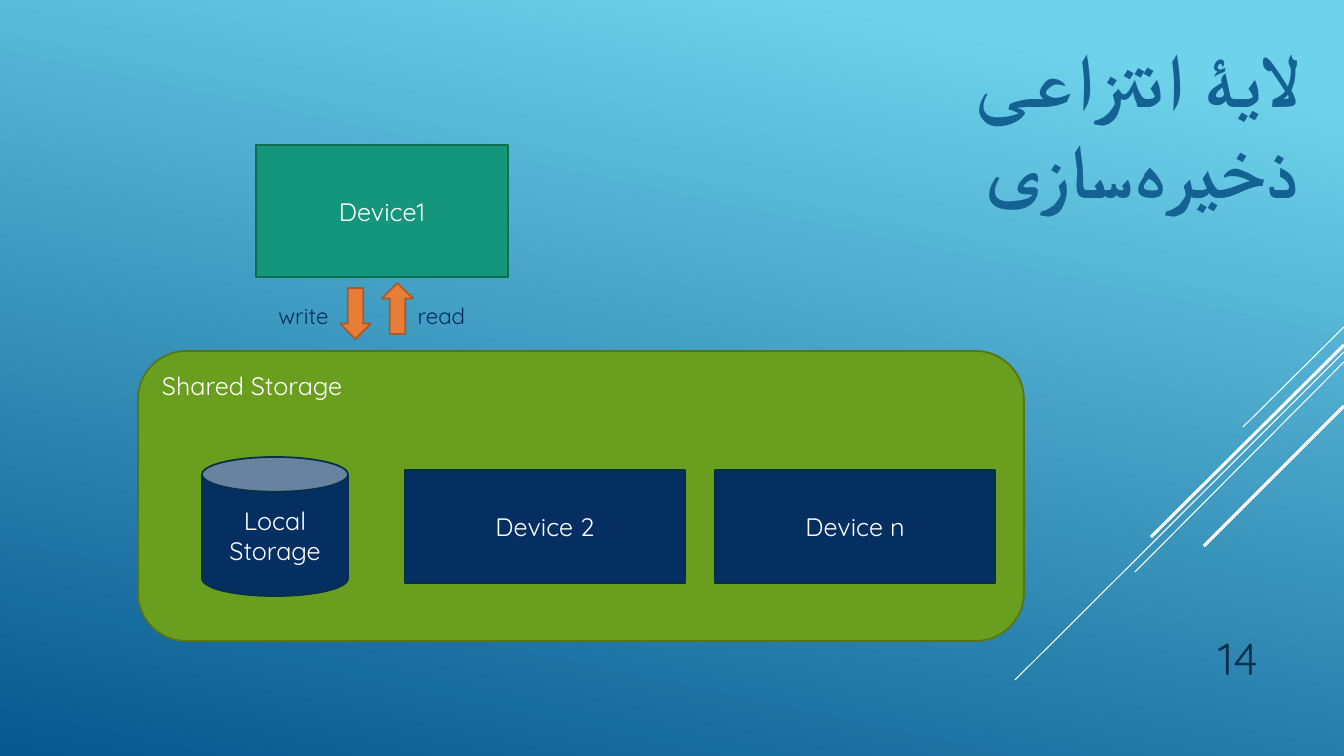
"""Builds a slide showing a storage abstraction layer shared by several devices."""
from lxml import etree
from pptx import Presentation, util as u
from pptx.dml.color import RGBColor
from pptx.enum import shapes, text
from pptx.oxml.ns import qn

WHITE = RGBColor(0xFF, 0xFF, 0xFF)
SKY = RGBColor(0x6E, 0xD2, 0xEB)
DEEP = RGBColor(0x06, 0x58, 0x8E)
BLUE = RGBColor(0x14, 0x61, 0x94)
INK = RGBColor(0x0A, 0x30, 0x4A)
NAVY = RGBColor(0x05, 0x2F, 0x61)
NAVY_EDGE = RGBColor(0x04, 0x31, 0x48)
TEAL = RGBColor(0x14, 0x96, 0x7C)
TEAL_EDGE = RGBColor(0x0F, 0x6F, 0x4C)
ORANGE = RGBColor(0xE8, 0x7D, 0x37)
RUST = RGBColor(0xAC, 0x59, 0x29)
GREEN = RGBColor(0x6A, 0x9E, 0x1F)
MOSS = RGBColor(0x56, 0x75, 0x17)
FONT = "Quicksand"
JOINER = chr(0x200C)
KIND = shapes.MSO_SHAPE
ALIGN = text.PP_ALIGN
ANCHOR = text.MSO_ANCHOR


def px(*nums):
    return [u.Emu(round(n * 914400 / 100.8)) for n in nums]


def write(shape, words, size, color, align, anchor):
    frame = shape.text_frame
    frame.text = words
    frame.word_wrap = True
    frame.vertical_anchor = anchor
    para = frame.paragraphs[0]
    para.alignment = align
    para.font.name = FONT
    para.font.size = u.Pt(size)
    para.font.color.rgb = color
    return frame


deck = Presentation()
deck.slide_width, deck.slide_height = px(1344, 756)
slide = deck.slides.add_slide(deck.slide_layouts[5])

fill = slide.background.fill
fill.gradient()
fill.gradient_angle = 258
for stop, place, color in zip(fill.gradient_stops, (0.1, 1), (SKY, DEEP)):
    stop.position = place
    stop.color.rgb = color

streaks = [
    (327, 1243, 427, 0.75),
    (352, 1015, 680, 0.75),
    (362, 1135, 572, 0.75),
    (345, 1151, 537, 2.25),
    (406, 1204, 546, 2.25),
]
for top, left, low, width in streaks:
    streak = slide.shapes.add_connector(
        shapes.MSO_CONNECTOR.STRAIGHT, *px(1344, top, left, low))
    streak.line.color.rgb = WHITE
    streak.line.width = u.Pt(width)
    etree.SubElement(streak.element.spPr, qn("a:effectLst"))

title = slide.shapes.title
title.left, title.top, title.width, title.height = px(639, 27, 670, 102)
words = JOINER.join(["لایۀ انتزاعی ذخیره", "سازی"])
frame = write(title, words, 54, BLUE, ALIGN.RIGHT, ANCHOR.TOP)
frame.margin_left = px(100)[0]
frame.auto_size = text.MSO_AUTO_SIZE.SHAPE_TO_FIT_TEXT
para = frame.paragraphs[0]
para.font.bold = True
props = para.font._element
props.set("spc", "50")
etree.SubElement(props, qn("a:cs"), typeface=FONT)
props.getparent().set("rtl", "1")

number = slide.shapes.add_textbox(*px(1142, 615, 126, 74))
write(number, "14", 32, INK, ALIGN.RIGHT, ANCHOR.BOTTOM)

blocks = [
    (KIND.RECTANGLE, (256, 145, 252, 132), TEAL, TEAL_EDGE, "Device1"),
    (KIND.DOWN_ARROW, (340, 288, 31, 51), ORANGE, RUST, ""),
    (KIND.UP_ARROW, (382, 283, 31, 51), ORANGE, RUST, ""),
    (KIND.ROUNDED_RECTANGLE, (138, 351, 886, 290), GREEN, MOSS, "Shared Storage"),
    (KIND.CAN, (202, 457, 146, 139), NAVY, NAVY_EDGE, "Local Storage"),
    (KIND.RECTANGLE, (405, 470, 280, 113), NAVY, NAVY_EDGE, "Device 2"),
    (KIND.RECTANGLE, (715, 470, 280, 113), NAVY, NAVY_EDGE, "Device n"),
]
for kind, box, color, edge, words in blocks:
    block = slide.shapes.add_shape(kind, *px(*box))
    block.shadow.inherit = False
    block.fill.solid()
    block.fill.fore_color.rgb = color
    block.line.color.rgb = edge
    block.line.width = u.Pt(1.25)
    if kind == KIND.ROUNDED_RECTANGLE:
        write(block, words, 18, WHITE, ALIGN.LEFT, ANCHOR.TOP)
    elif words:
        write(block, words, 18, WHITE, ALIGN.CENTER, ANCHOR.MIDDLE)

for left, words in ((405, "read"), (267, "write")):
    label = slide.shapes.add_textbox(*px(left, 297, 73, 37))
    frame = write(label, words, 16, NAVY, ALIGN.CENTER, ANCHOR.TOP)
    frame.word_wrap = False
    frame.auto_size = text.MSO_AUTO_SIZE.SHAPE_TO_FIT_TEXT

deck.save("out.pptx")
